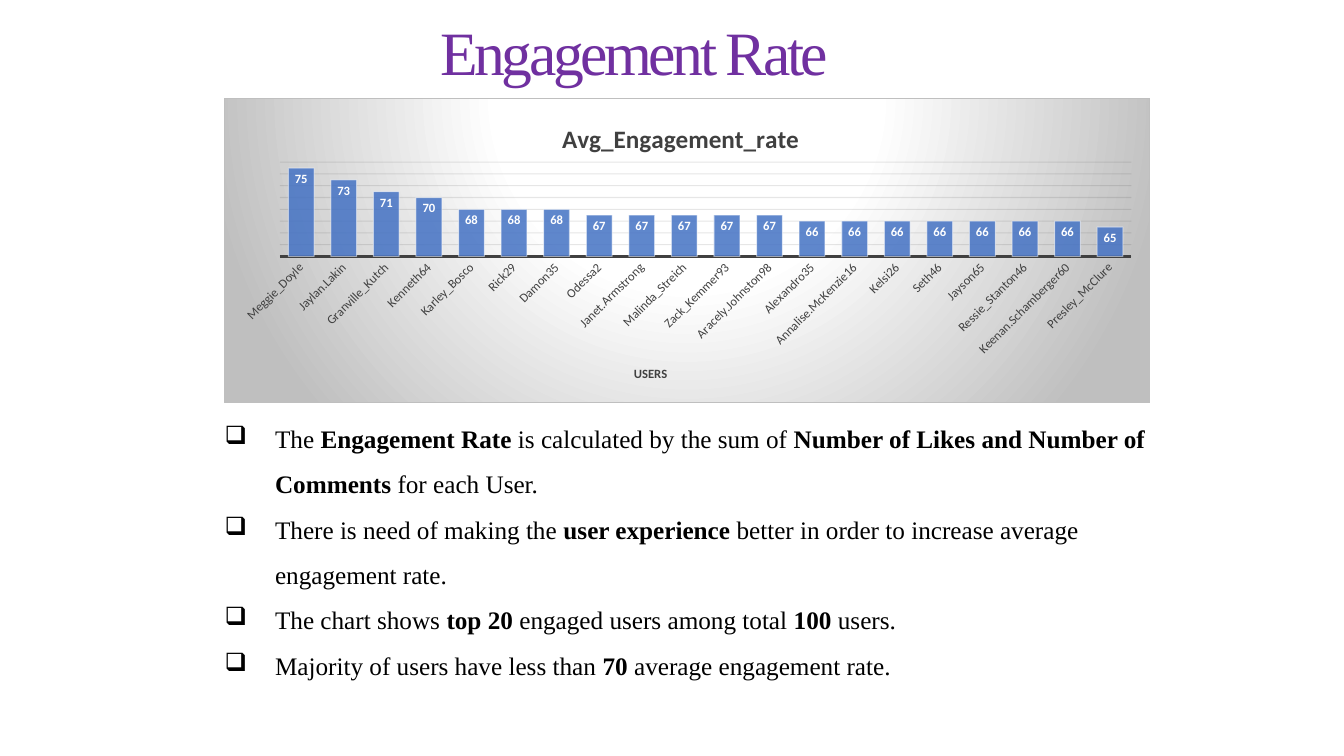
"""Build the Engagement Rate slide with a column chart and bullet notes."""
from dataclasses import dataclass

from lxml.etree import SubElement
from pptx import Presentation
from pptx.chart.chart import Chart
from pptx.chart.data import CategoryChartData
from pptx.dml.color import RGBColor
from pptx.enum.chart import XL_CHART_TYPE, XL_LABEL_POSITION, XL_TICK_MARK
from pptx.enum.text import MSO_ANCHOR, MSO_AUTO_SIZE
from pptx.oxml import parse_xml
from pptx.oxml.ns import nsdecls, qn
from pptx.slide import Slide
from pptx.text.text import Font
from pptx.util import Inches, Pt

COLORS = {
    "title": "7030A0", "text": "000000", "chart_text": "404040", "column": "4472C4",
    "white": "FFFFFF", "grid": "0D0D0D", "border": "BFBFBF",
}
SERIF = "Times New Roman"
SANS = "Calibri"
USER_RATES = {
    "Meggie_Doyle": 75, "Jaylan.Lakin": 73, "Granville_Kutch": 71, "Kenneth64": 70,
    "Karley_Bosco": 68, "Rick29": 68, "Damon35": 68, "Odessa2": 67,
    "Janet.Armstrong": 67, "Malinda_Streich": 67, "Zack_Kemmer93": 67,
    "Aracely.Johnston98": 67, "Alexandro35": 66, "Annalise.McKenzie16": 66,
    "Kelsi26": 66, "Seth46": 66, "Jayson65": 66, "Ressie_Stanton46": 66,
    "Keenan.Schamberger60": 66, "Presley_McClure": 65,
}


@dataclass(frozen=True)
class Span:
    text: str
    bold: bool = False


@dataclass(frozen=True)
class Bullet:
    spans: tuple[Span, ...]


BULLETS = (
    Bullet((Span("The "), Span("Engagement Rate ", True),
            Span("is calculated by the sum of "),
            Span("Number of Likes and Number of Comments ", True), Span("for each User."))),
    Bullet((Span("There is need of making the "), Span("user experience ", True),
            Span("better in order to increase average engagement rate."))),
    Bullet((Span("The chart shows "), Span("top 20 ", True),
            Span("engaged users among total "), Span("100", True), Span(" users."))),
    Bullet((Span("Majority of users have less than "), Span("70", True),
            Span(" average engagement rate."))),
)


def color(name: str) -> RGBColor:
    return RGBColor.from_string(COLORS[name])


def style_font(font: Font, name: str, size: float, color_name: str, bold: bool = False) -> None:
    font.name, font.size, font.bold = name, Pt(size), bold
    font.color.rgb = color(color_name)


def set_alpha(properties, percent: int) -> None:
    for fill_color in properties.iter(qn("a:srgbClr")):
        SubElement(fill_color, qn("a:alpha")).set("val", str(percent * 1000))


def make_layout(values: dict[str, float], inner: bool = False):
    target = '<c:layoutTarget val="inner"/>' if inner else ""
    modes = "".join(f'<c:{key}Mode val="edge"/>' for key in "xy")
    sizes = "".join(f'<c:{key} val="{value}"/>' for key, value in values.items())
    return parse_xml(f'<c:layout {nsdecls("c")}><c:manualLayout>{target}{modes}{sizes}'
                     '</c:manualLayout></c:layout>')


def place_title(title, text: str, size: float, x: float, y: float) -> None:
    title.text_frame.text = text
    style_font(title.text_frame.paragraphs[0].runs[0].font, SANS, size, "chart_text", True)
    element = title._element
    for layout in element.findall(qn("c:layout")):
        element.remove(layout)
    element.find(qn("c:tx")).addnext(make_layout({"x": x, "y": y}))


def fill_chart_area(chart: Chart) -> None:
    stops = "".join(
        f'<a:gs pos="{position * 1000}"><a:srgbClr val="{COLORS[name]}"/></a:gs>'
        for position, name in ((0, "white"), (39, "white"), (100, "border")))
    area = parse_xml(
        f'<c:spPr {nsdecls("c", "a")}><a:gradFill><a:gsLst>{stops}</a:gsLst>'
        '<a:path path="circle"><a:fillToRect l="50000" t="-80000" r="50000" b="180000"/>'
        f'</a:path></a:gradFill><a:ln w="{Pt(0.75)}"><a:solidFill>'
        f'<a:srgbClr val="{COLORS["border"]}"/></a:solidFill></a:ln></c:spPr>')
    chart._chartSpace.find(qn("c:chart")).addnext(area)


def style_axes(chart: Chart) -> None:
    users = chart.category_axis
    users.major_tick_mark = XL_TICK_MARK.NONE
    style_font(users.tick_labels.font, SANS, 9, "chart_text")
    users._element.find(qn("c:txPr")).find(qn("a:bodyPr")).set("rot", "-2700000")
    users.format.line.color.rgb = color("chart_text")
    users.format.line.width = Pt(1.5)
    place_title(users.axis_title, "USERS", 9, 0.44, 0.87)

    rates = chart.value_axis
    rates.minimum_scale, rates.maximum_scale, rates.major_unit = 60, 76, 2
    rates.visible = False
    rates.has_major_gridlines = True
    grid_line = rates.major_gridlines.format.line
    grid_line.color.rgb = color("grid")
    grid_line.width = Pt(0.75)
    set_alpha(rates.major_gridlines._xAx.find(qn("c:majorGridlines")), 10)


def style_columns(chart: Chart) -> None:
    plot = chart.plots[0]
    plot.gap_width = 65
    plot.vary_by_categories = False
    series = plot.series[0]
    series.format.fill.solid()
    series.format.fill.fore_color.rgb = color("column")
    properties = series._element.find(qn("c:spPr"))
    set_alpha(properties, 85)
    series.format.line.color.rgb = color("white")
    series.format.line.width = Pt(0.75)
    set_alpha(properties.find(qn("a:ln")), 50)
    labels = series.data_labels
    labels.show_value = True
    labels.position = XL_LABEL_POSITION.INSIDE_END
    style_font(labels.font, SANS, 9, "white", True)


def add_rate_chart(slide: Slide) -> None:
    data = CategoryChartData()
    data.categories = list(USER_RATES)
    data.add_series("Series 1", list(USER_RATES.values()))
    chart = slide.shapes.add_chart(
        XL_CHART_TYPE.COLUMN_CLUSTERED,
        Inches(2.22), Inches(0.97), Inches(9.19), Inches(3.03), data).chart
    style_font(chart.font, SANS, 10, "text")
    chart.has_legend = False
    place_title(chart.chart_title, "Avg_Engagement_rate", 18, 0.36, 0.06)
    style_axes(chart)
    style_columns(chart)
    fill_chart_area(chart)
    plot_area = chart._chartSpace.find(qn("c:chart")).find(qn("c:plotArea"))
    for layout in plot_area.findall(qn("c:layout")):
        plot_area.remove(layout)
    plot_area.insert(0, make_layout({"x": 0.06, "y": 0.21, "w": 0.92, "h": 0.31}, inner=True))


def add_title(slide: Slide) -> None:
    shape = slide.shapes.add_textbox(Inches(4.27), Inches(0.13), Inches(4.8), Inches(0.84))
    frame = shape.text_frame
    frame.word_wrap = True
    frame.vertical_anchor = MSO_ANCHOR.MIDDLE
    frame.text = "Engagement Rate"
    paragraph = frame.paragraphs[0]
    paragraph.line_spacing = 0.9
    run = paragraph.runs[0]
    style_font(run.font, SERIF, 44, "title")
    run.font._element.set("spc", "-250")


def add_bullets(slide: Slide) -> None:
    shape = slide.shapes.add_textbox(Inches(2), Inches(4), Inches(9.73), Inches(2.77))
    frame = shape.text_frame
    frame.word_wrap = True
    frame.auto_size = MSO_AUTO_SIZE.SHAPE_TO_FIT_TEXT
    for index, bullet in enumerate(BULLETS):
        paragraph = frame.add_paragraph() if index else frame.paragraphs[0]
        paragraph.line_spacing = 1.5
        properties = paragraph._p.get_or_add_pPr()
        properties.set("marL", str(Inches(0.63)))
        properties.set("indent", str(Inches(-0.5)))
        bullet_color = SubElement(properties, qn("a:buClr"))
        SubElement(bullet_color, qn("a:srgbClr")).set("val", COLORS["text"])
        SubElement(properties, qn("a:buChar")).set("char", "❑")
        for span in bullet.spans:
            run = paragraph.add_run()
            run.text = span.text
            style_font(run.font, SERIF, 18, "text", span.bold)


def main() -> None:
    presentation = Presentation()
    presentation.slide_width, presentation.slide_height = Inches(13.33), Inches(7.5)
    slide = presentation.slides.add_slide(presentation.slide_layouts[6])
    add_title(slide)
    add_rate_chart(slide)
    add_bullets(slide)
    presentation.save("out.pptx")


if __name__ == "__main__":
    main()
